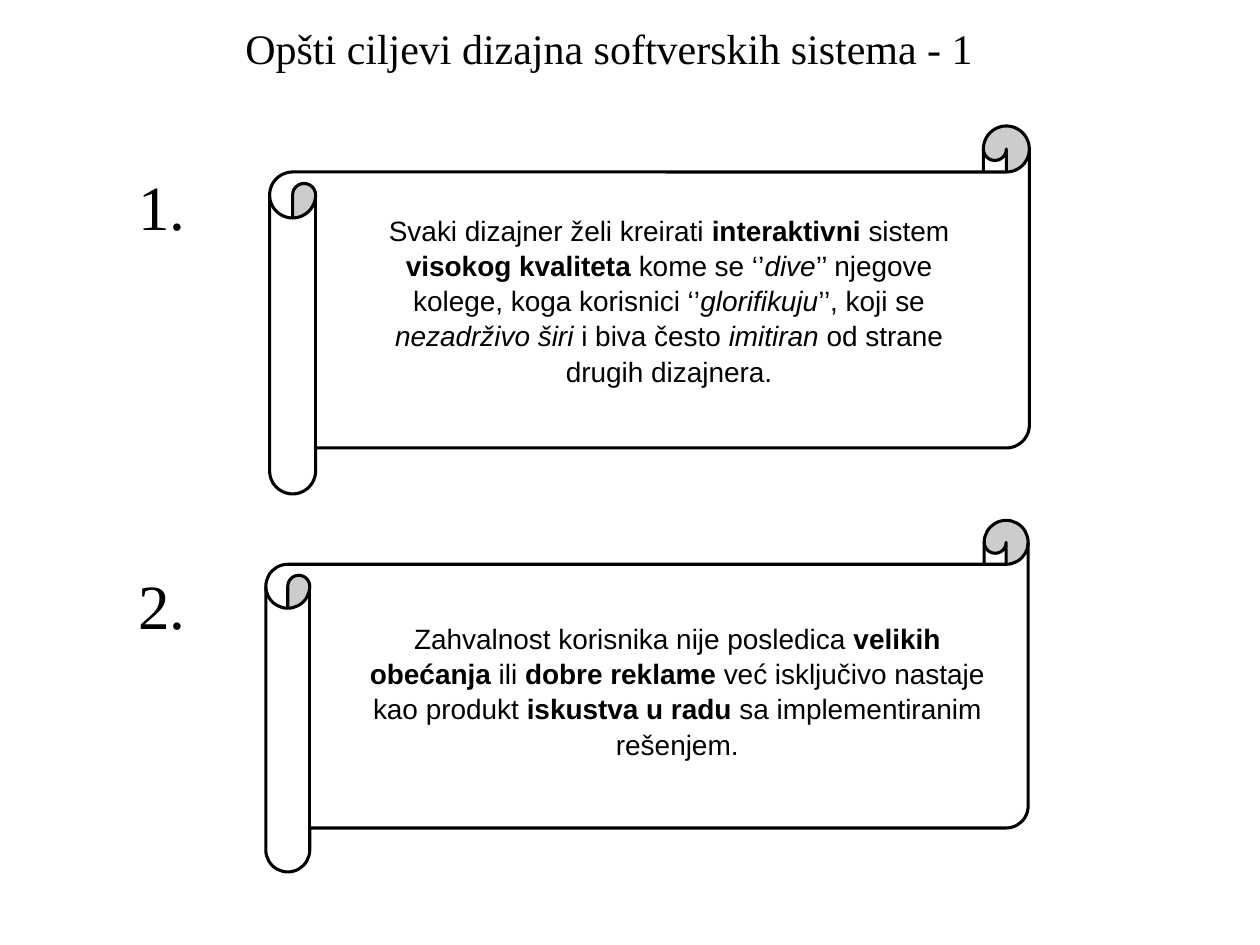
import pptx
import pptx.util
import pptx.dml.color
import pptx.enum.shapes
import pptx.enum.text
from pptx.util import Inches

COLORS = {"paper": "FFFFFF", "ink": "000000"}
SERIF, SANS = "Times New Roman", "Arial"
CENTER = pptx.enum.text.PP_ALIGN.CENTER
LEFT = pptx.enum.text.PP_ALIGN.LEFT
SHAPES = pptx.enum.shapes.MSO_SHAPE

TITLE = "Opšti ciljevi dizajna softverskih sistema - 1"
TITLE_BOX = (0.25, 0.13, 9.17, 0.5)

# Runs are (text, style), where the style is "" (plain), "b" (bold) or "i" (italic).
GOALS = [
    {
        "number": "1.",
        "number_box": (1, 1.28, 0.81, 0.69),
        "scroll_box": (2.14, 1, 6.03, 2.92),
        "text_box": (2.79, 1.63, 5.04, 1.87),
        "runs": [
            ("Svaki dizajner želi kreirati ", ""),
            ("interaktivni ", "b"),
            ("sistem ", ""),
            ("visokog kvaliteta", "b"),
            (" kome se ‘’", ""),
            ("dive", "i"),
            ("’’ njegove kolege, koga korisnici ‘’", ""),
            ("glorifikuju", "i"),
            ("’’, koji se ", ""),
            ("nezadrživo širi", "i"),
            (" i biva često ", ""),
            ("imitiran", "i"),
            (" od strane drugih dizajnera.", ""),
        ],
    },
    {
        "number": "2.",
        "number_box": (1, 4.45, 0.8, 0.82),
        "scroll_box": (2.11, 4.13, 6.05, 2.79),
        "text_box": (2.75, 4.87, 5.25, 1.55),
        "runs": [
            ("Zahvalnost korisnika nije posledica ", ""),
            ("velikih obećanja", "b"),
            (" ili ", ""),
            ("dobre reklame", "b"),
            (" već isključivo nastaje kao produkt ", ""),
            ("iskustva u radu", "b"),
            (" sa implementiranim rešenjem.", ""),
        ],
    },
]


def color(name):
    return pptx.dml.color.RGBColor.from_string(COLORS[name])


def format_paragraph(paragraph, font_name, size, alignment):
    paragraph.alignment = alignment
    paragraph.font.name = font_name
    paragraph.font.size = pptx.util.Pt(size)
    paragraph.font.color.rgb = color("ink")


def add_paper_shape(group, kind, box):
    shape = group.shapes.add_shape(kind, *map(Inches, box))
    shape.shadow.inherit = False
    shape.fill.solid()
    shape.fill.fore_color.rgb = color("paper")
    shape.line.fill.background()
    return shape


def add_scroll(group, box):
    scroll = add_paper_shape(group, SHAPES.HORIZONTAL_SCROLL, box)
    scroll.adjustments[0] = 0.125
    scroll.line.color.rgb = color("ink")
    scroll.line.width = pptx.util.Pt(1.75)


def add_text(group, box, runs, font_name, size, alignment, line_spacing=1.0):
    frame = add_paper_shape(group, SHAPES.RECTANGLE, box).text_frame
    frame.word_wrap = True
    frame.vertical_anchor = pptx.enum.text.MSO_ANCHOR.TOP
    paragraph = frame.paragraphs[0]
    format_paragraph(paragraph, font_name, size, alignment)
    paragraph.line_spacing = line_spacing
    for text, style in runs:
        run = paragraph.add_run()
        run.text = text
        if style == "b":
            run.font.bold = True
        elif style == "i":
            run.font.italic = True


def add_title(slide):
    title = slide.shapes.title
    title.left, title.top, title.width, title.height = map(Inches, TITLE_BOX)
    title.text_frame.text = TITLE
    title.text_frame.vertical_anchor = pptx.enum.text.MSO_ANCHOR.MIDDLE
    format_paragraph(title.text_frame.paragraphs[0], SERIF, 24, CENTER)


def main():
    presentation = pptx.Presentation()
    presentation.slide_width = Inches(10)
    presentation.slide_height = Inches(7.5)
    title_only = presentation.slide_layouts[5]
    slide = presentation.slides.add_slide(title_only)
    add_title(slide)
    for goal in GOALS:
        group = slide.shapes.add_group_shape()
        add_scroll(group, goal["scroll_box"])
        add_text(group, goal["text_box"], goal["runs"], SANS, 16, CENTER, 1.05)
        add_text(group, goal["number_box"], [(goal["number"], "")], SERIF, 36, LEFT)
    presentation.save("out.pptx")


if __name__ == "__main__":
    main()
